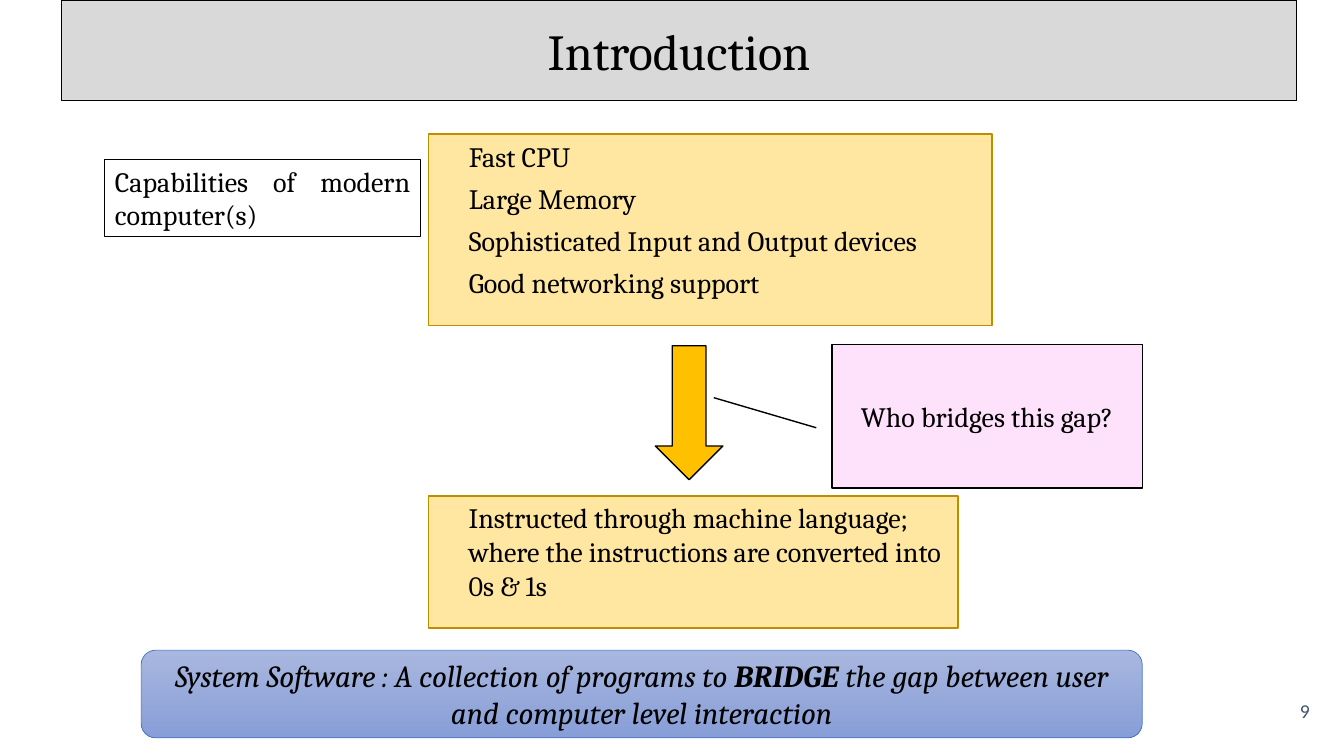
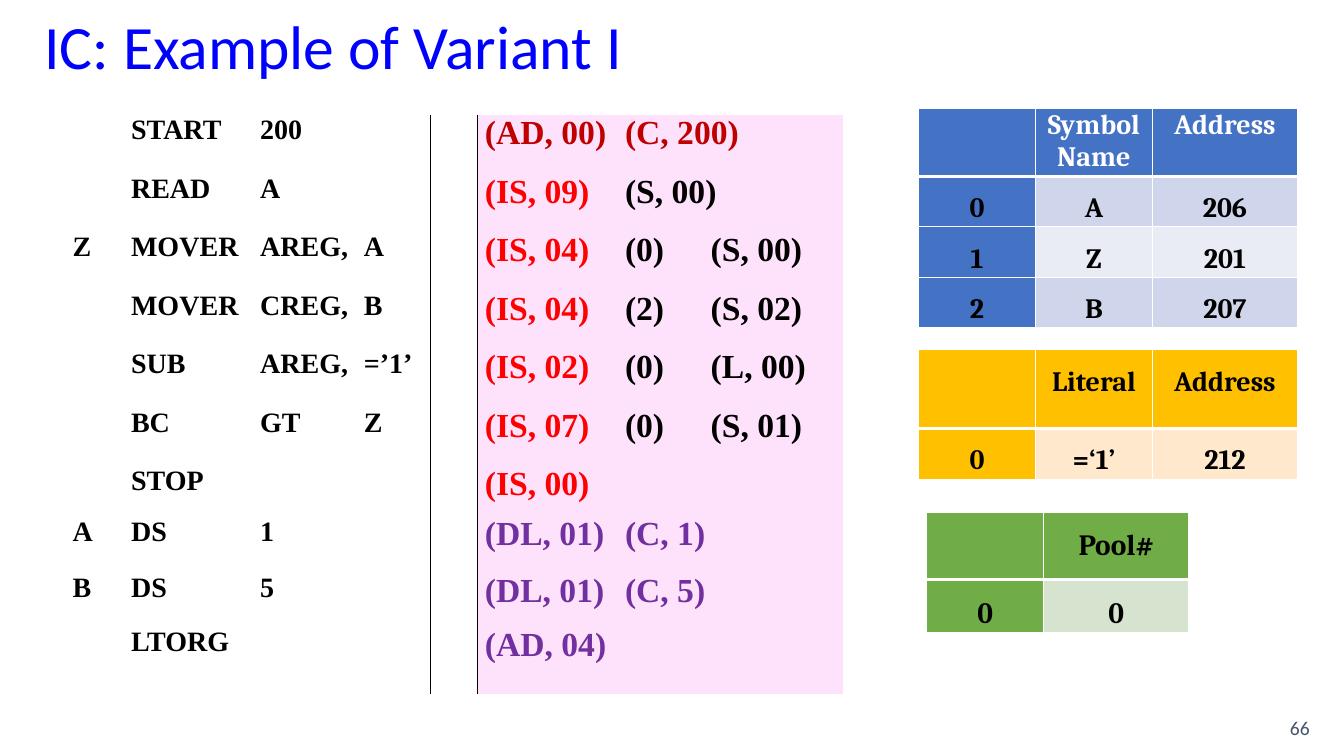
from dataclasses import dataclass

from lxml.etree import SubElement
from pptx import Presentation
from pptx.dml.color import RGBColor
from pptx.enum.shapes import MSO_SHAPE
from pptx.enum.text import MSO_ANCHOR, MSO_AUTO_SIZE, PP_ALIGN
from pptx.oxml.ns import qn
from pptx.util import Inches, Pt


@dataclass(frozen=True)
class Theme:
    serif: str = "Cambria"
    sans: str = "Calibri"
    code: str = "Times New Roman"
    black: str = "000000"
    white: str = "FFFFFF"
    band: str = "D9D9D9"
    heading_blue: str = "0000FF"
    number: str = "44546A"
    gold: str = "FFC000"
    gold_line: str = "BD8E00"
    pale_gold: str = "FFE8CC"
    pink: str = "FEE2FC"
    blue: str = "4472C4"
    blue_bands: tuple = ("CFD5EA", "E9EBF5")
    banner: tuple = ("A8B7DF", "889ED7")
    green: str = "70AD47"
    pale_green: str = "D5E3CF"
    dark_red: str = "C00000"
    red: str = "FF0000"
    purple: str = "7030A0"
    band_title_size: int = 36
    title_size: int = 44
    body_size: int = 20
    banner_size: int = 22
    intermediate_size: int = 24
    number_size: int = 14


THEME = Theme()

CAPABILITIES = [
    "Fast CPU",
    "Large Memory",
    "Sophisticated Input and Output devices",
    "Good networking support",
]
INSTRUCTION = ("Instructed through machine language; where the instructions "
               "are converted into 0s & 1s")
# Runs of the definition: text, bold
DEFINITION = [
    ("System Software : A collection of programs to ", False),
    ("BRIDGE", True),
    (" the gap between user and computer level interaction", False),
]

# Colours of the intermediate code: opcode, operands
START_COLORS = (THEME.dark_red, THEME.dark_red)
IMPERATIVE = (THEME.red, THEME.black)
DECLARATION = (THEME.purple, THEME.purple)

# Row height, source fields, intermediate code, colours
PROGRAM = [
    (0.58, ("", "START", "200", ""), ("(AD, 00)", "(C, 200)"), START_COLORS),
    (0.58, ("", "READ", "A", ""), ("(IS, 09)", "(S, 00)"), IMPERATIVE),
    (0.58, ("Z", "MOVER", "AREG,", "A"), ("(IS, 04)", "(0)", "(S, 00)"), IMPERATIVE),
    (0.58, ("", "MOVER", "CREG,", "B"), ("(IS, 04)", "(2)", "(S, 02)"), IMPERATIVE),
    (0.58, ("", "SUB", "AREG,", "=’1’"), ("(IS, 02)", "(0)", "(L, 00)"), IMPERATIVE),
    (0.58, ("", "BC", "GT", "Z"), ("(IS, 07)", "(0)", "(S, 01)"), IMPERATIVE),
    (0.5, ("", "STOP", "", ""), ("(IS, 00)",), IMPERATIVE),
    (0.56, ("A", "DS", "1", ""), ("(DL, 01)", "(C, 1)"), DECLARATION),
    (0.54, ("B", "DS", "5", ""), ("(DL, 01)", "(C, 5)"), DECLARATION),
    (0.49, ("", "LTORG", "", ""), ("(AD, 04)",), DECLARATION),
]
PROGRAM_WIDTHS = [0.58, 1.28, 1.03, 0.73, 0.47, 1.39, 0.85, 0.67, 0.71]
BOTTOM_PADDING = 0.18
GAP_COLUMN = 4

LOOKUP_TABLES = [
    dict(left=9.11, top=1.08, widths=[1.16, 1.16, 1.44], heights=[0.67, 0.44],
         rows=[("", "Symbol Name", "Address"), ("0", "A", "206"),
               ("1", "Z", "201"), ("2", "B", "207")],
         strong=THEME.blue, bands=THEME.blue_bands,
         header_color=THEME.white, header_spacing=1),
    dict(left=9.11, top=3.47, widths=[1.16, 1.16, 1.44], heights=[0.78, 0.51],
         rows=[("", "Literal", "Address"), ("0", "=‘1’", "212")],
         strong=THEME.gold, bands=(THEME.pale_gold,)),
    dict(left=9.19, top=5.08, widths=[1.16, 1.44], heights=[0.67, 0.46],
         rows=[("", "Pool#"), ("0", "0")],
         strong=THEME.green, bands=(THEME.pale_green,), size=21),
]

PLAIN_TABLE_STYLE = "{2D5ABB26-0587-4C30-8999-92F81FD0307C}"


def rgb(color):
    return RGBColor.from_string(color)


def write_text(text_frame, paragraphs, *, font=THEME.serif, size=THEME.body_size,
               color=THEME.black, bold=False, italic=False, align=PP_ALIGN.LEFT,
               anchor=MSO_ANCHOR.TOP, spacing=1, gap=0, indent=0):
    """Write a string, or a list of strings or (text, bold) run lists."""
    if isinstance(paragraphs, str):
        paragraphs = [paragraphs]
    text_frame.word_wrap = True
    text_frame.vertical_anchor = anchor
    for index, content in enumerate(paragraphs):
        paragraph = text_frame.add_paragraph() if index else text_frame.paragraphs[0]
        properties = paragraph._p.get_or_add_pPr()
        properties.set("marL", str(Inches(indent)))
        properties.set("indent", "0")
        SubElement(properties, qn("a:buNone"))
        paragraph.alignment = align
        paragraph.line_spacing = spacing
        paragraph.space_before = Pt(gap if index else 0)
        runs = [(content, bold)] if isinstance(content, str) else content
        for text, is_bold in runs:
            run = paragraph.add_run()
            run.text = text
            run.font.name = font
            run.font.size = Pt(size)
            run.font.bold = is_bold
            run.font.italic = italic
            run.font.color.rgb = rgb(color)


def place(shape, box):
    shape.left, shape.top, shape.width, shape.height = map(Inches, box)


def paint(shape, fill=None, line=None, width=1, opacity=None):
    if fill:
        shape.fill.solid()
        shape.fill.fore_color.rgb = rgb(fill)
        if opacity:
            color = shape.fill._xPr.find(qn("a:solidFill"))[0]
            SubElement(color, qn("a:alpha")).set("val", str(opacity * 1000))
    else:
        shape.fill.background()
    shape.line.color.rgb = rgb(line or THEME.black)
    shape.line.width = Pt(width)


def add_box(slide, kind, box, text="", *, fill=None, line=None, width=1,
            opacity=None, **text_format):
    shape = slide.shapes.add_shape(kind, *map(Inches, box))
    shape.shadow.inherit = False
    paint(shape, fill, line, width, opacity)
    if text:
        write_text(shape.text_frame, text, **text_format)
    return shape


def add_slide(presentation, layout, title, title_box, number, number_top, **title_format):
    slide = presentation.slides.add_slide(presentation.slide_layouts[layout])
    place(slide.shapes.title, title_box)
    slide.shapes.title.text_frame.auto_size = MSO_AUTO_SIZE.NONE
    write_text(slide.shapes.title.text_frame, title,
               anchor=MSO_ANCHOR.MIDDLE, **title_format)
    number_box = slide.shapes.add_textbox(*map(Inches, (10.92, number_top, 2.17, 0.4)))
    write_text(number_box.text_frame, number, font=THEME.sans, size=THEME.number_size,
               color=THEME.number, align=PP_ALIGN.RIGHT, anchor=MSO_ANCHOR.MIDDLE)
    return slide


def add_grid(slide, left, top, widths, heights):
    """Add a table without any style of its own."""
    box = (left, top, sum(widths), sum(heights))
    frame = slide.shapes.add_table(len(heights), len(widths), *map(Inches, box))
    table = frame.table
    table._tbl.tblPr.find(qn("a:tableStyleId")).text = PLAIN_TABLE_STYLE
    table.horz_banding = False
    for column, width in zip(table.columns, widths):
        column.width = Inches(width)
    for row, height in zip(table.rows, heights):
        row.height = Inches(height)
    return table


def format_cell(cell, text="", *, fill=None, borders=None, **text_format):
    """Borders map a side (L, R, T, B) to a colour and a width in points."""
    cell.margin_left = cell.margin_right = Inches(0.07)
    cell.margin_top = cell.margin_bottom = 0
    properties = cell._tc.get_or_add_tcPr()
    for side, (color, width) in (borders or {}).items():
        line = SubElement(properties, qn(f"a:ln{side}"), w=str(Pt(width)))
        solid = SubElement(line, qn("a:solidFill"))
        SubElement(solid, qn("a:srgbClr"), val=color)
    if fill:
        cell.fill.solid()
        cell.fill.fore_color.rgb = rgb(fill)
    else:
        cell.fill.background()
    if text:
        write_text(cell.text_frame, text, bold=True, **text_format)


def add_program_table(slide):
    heights = [height for height, *_ in PROGRAM]
    heights[-1] += BOTTOM_PADDING
    table = add_grid(slide, 0.65, 1.14, PROGRAM_WIDTHS, heights)
    divider = (THEME.black, 1)
    for row, (_, source, intermediate, colors) in enumerate(PROGRAM):
        for column, text in enumerate(source):
            borders = {"R": divider} if column == GAP_COLUMN - 1 else None
            format_cell(table.cell(row, column), text, borders=borders, font=THEME.code)
        format_cell(table.cell(row, GAP_COLUMN), borders={"L": divider})

        first = GAP_COLUMN + 1
        last = len(PROGRAM_WIDTHS) - 1
        merge_from = first + max(len(intermediate) - 1, 1)
        table.cell(row, merge_from).merge(table.cell(row, last))
        for column in range(first, last + 1):
            part = column - first
            text = intermediate[part] if part < len(intermediate) else ""
            format_cell(table.cell(row, column), text, fill=THEME.pink, font=THEME.code,
                        size=THEME.intermediate_size, color=colors[min(part, 1)])


def add_lookup_table(slide, left, top, widths, heights, rows, strong, bands,
                     header_color=THEME.black, header_spacing=1.5, size=THEME.body_size):
    header_height, row_height = heights
    all_heights = [header_height] + [row_height] * (len(rows) - 1)
    table = add_grid(slide, left, top, widths, all_heights)
    thin, thick = (THEME.white, 1), (THEME.white, 3)
    for row, texts in enumerate(rows):
        header = row == 0
        for column, text in enumerate(texts):
            emphasized = header or column == 0
            format_cell(
                table.cell(row, column), text,
                fill=strong if emphasized else bands[(row - 1) % len(bands)],
                borders={"L": thin, "R": thin, "T": thick if row == 1 else thin,
                         "B": thick if header else thin},
                color=header_color if header else THEME.black,
                size=size, align=PP_ALIGN.CENTER,
                anchor=MSO_ANCHOR.TOP if emphasized else MSO_ANCHOR.MIDDLE,
                spacing=header_spacing if header else 1.5)


def build_introduction(presentation):
    slide = add_slide(presentation, 1, "Introduction", (0.61, 0, 12.25, 1), "9", 6.85,
                      size=THEME.band_title_size, align=PP_ALIGN.CENTER)
    paint(slide.shapes.title, THEME.band, width=0.75)

    golden = dict(fill=THEME.gold, line=THEME.gold_line, opacity=37)
    capabilities = slide.placeholders[1]
    place(capabilities, (4.25, 1.33, 5.59, 1.9))
    paint(capabilities, **golden)
    capabilities.text_frame.auto_size = MSO_AUTO_SIZE.NONE
    write_text(capabilities.text_frame, CAPABILITIES, gap=6, indent=0.3)

    add_box(slide, MSO_SHAPE.RECTANGLE, (1.04, 1.58, 3.13, 0.77),
            "Capabilities of modern computer(s)", width=0.75, align=PP_ALIGN.JUSTIFY)
    add_box(slide, MSO_SHAPE.DOWN_ARROW, (6.5, 3.43, 0.67, 1.33), fill=THEME.gold)
    add_box(slide, MSO_SHAPE.RECTANGLE, (4.25, 4.92, 5.25, 1.31), INSTRUCTION,
            indent=0.3, **golden)

    centered = dict(align=PP_ALIGN.CENTER, anchor=MSO_ANCHOR.MIDDLE)
    callout = add_box(slide, MSO_SHAPE.LINE_CALLOUT_1, (8.25, 3.42, 3.08, 1.42),
                      "Who bridges this gap?", fill=THEME.pink, **centered)
    for index, value in enumerate((0.58, -0.05, 0.37, -0.38)):
        callout.adjustments[index] = value

    banner = add_box(slide, MSO_SHAPE.ROUNDED_RECTANGLE, (1.4, 6.45, 9.93, 0.87),
                     [DEFINITION], line=THEME.blue, width=0.5, italic=True,
                     size=THEME.banner_size, **centered)
    banner.fill.gradient()
    banner.fill.gradient_angle = 270
    for stop, color in zip(banner.fill.gradient_stops, THEME.banner):
        stop.color.rgb = rgb(color)


def build_variant_example(presentation):
    slide = add_slide(presentation, 5, "IC: Example of Variant I", (0.34, 0.08, 8.5, 0.83),
                      "66", 7.02, font=THEME.sans, size=THEME.title_size,
                      color=THEME.heading_blue, spacing=0.9)
    add_program_table(slide)
    for lookup in LOOKUP_TABLES:
        add_lookup_table(slide, **lookup)


def main():
    presentation = Presentation()
    presentation.slide_width = Inches(13.33)
    presentation.slide_height = Inches(7.5)
    build_introduction(presentation)
    build_variant_example(presentation)
    presentation.save("out.pptx")


if __name__ == "__main__":
    main()
